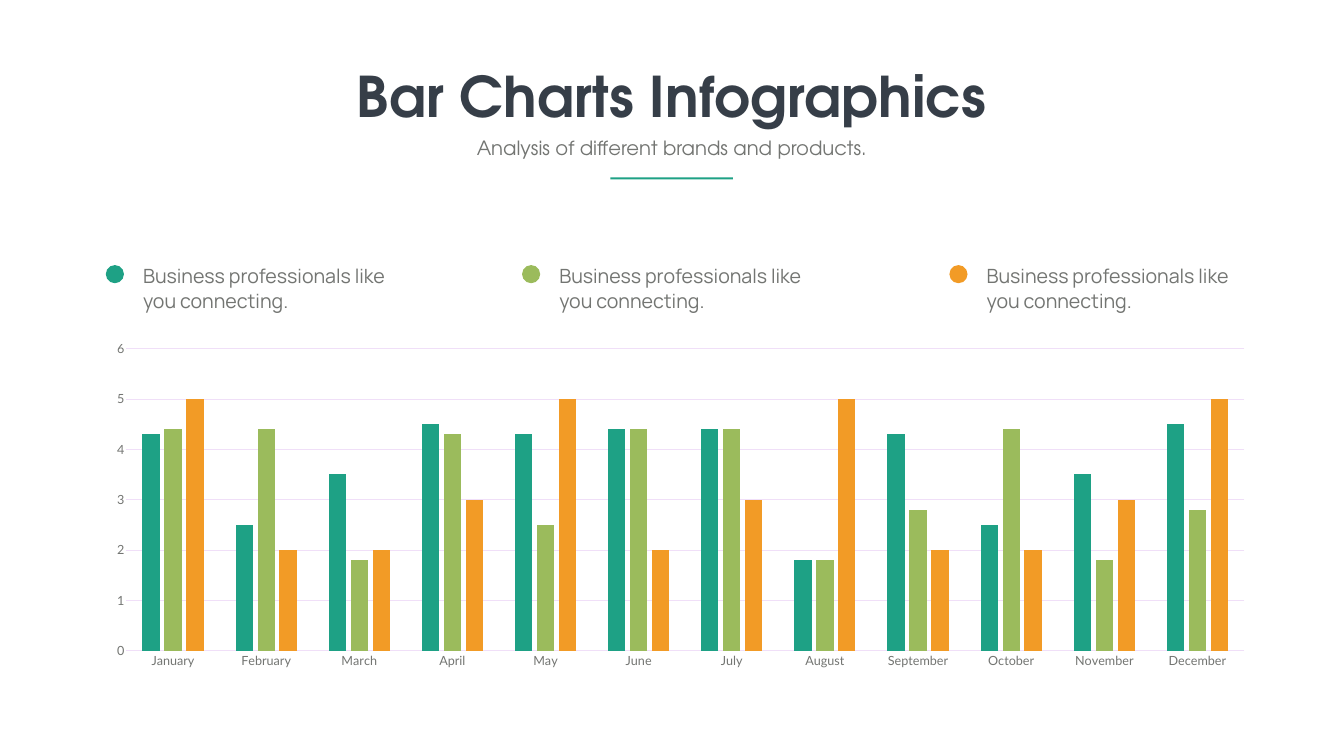
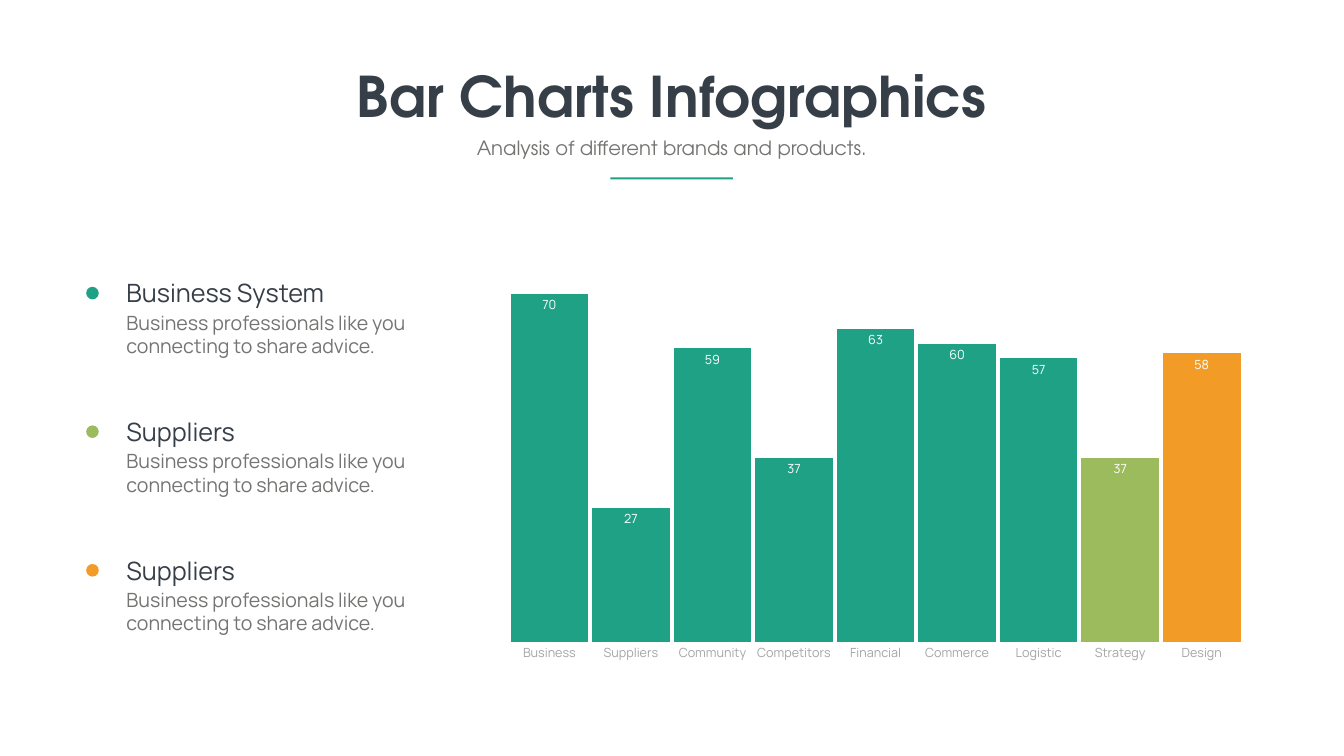
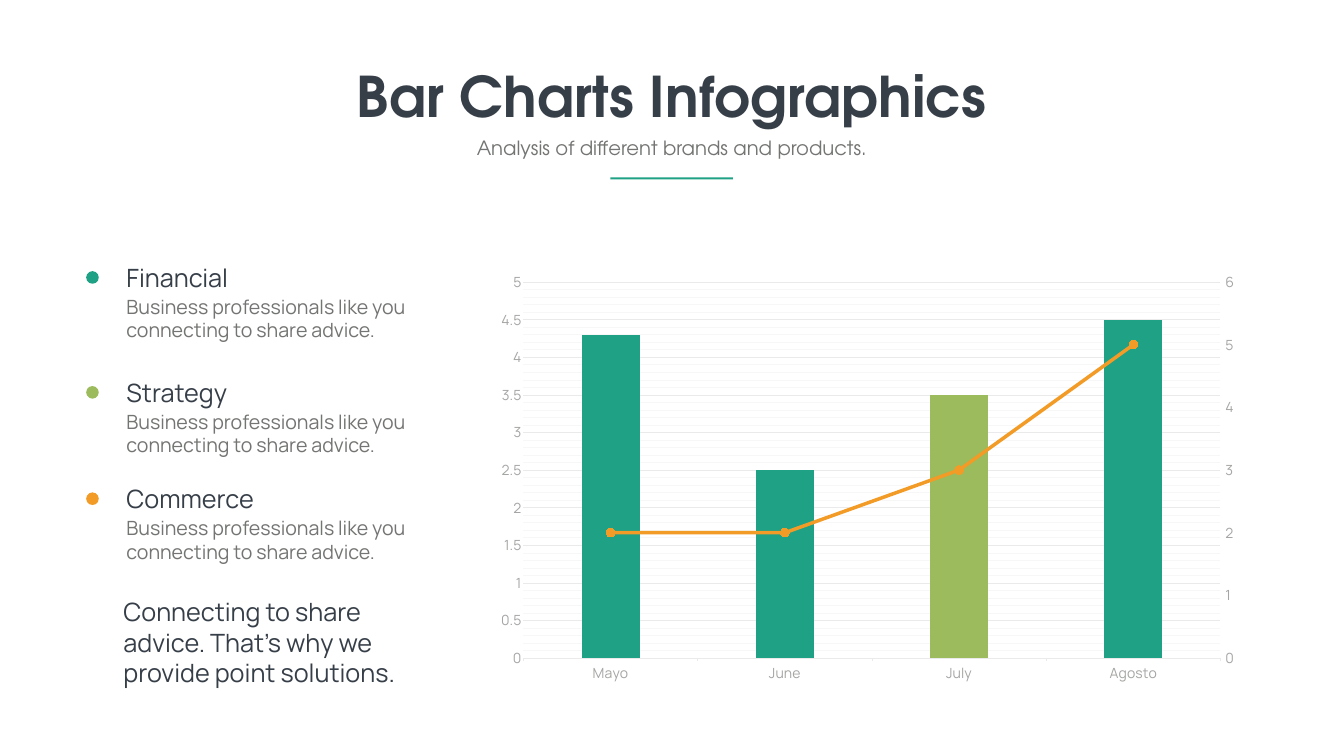
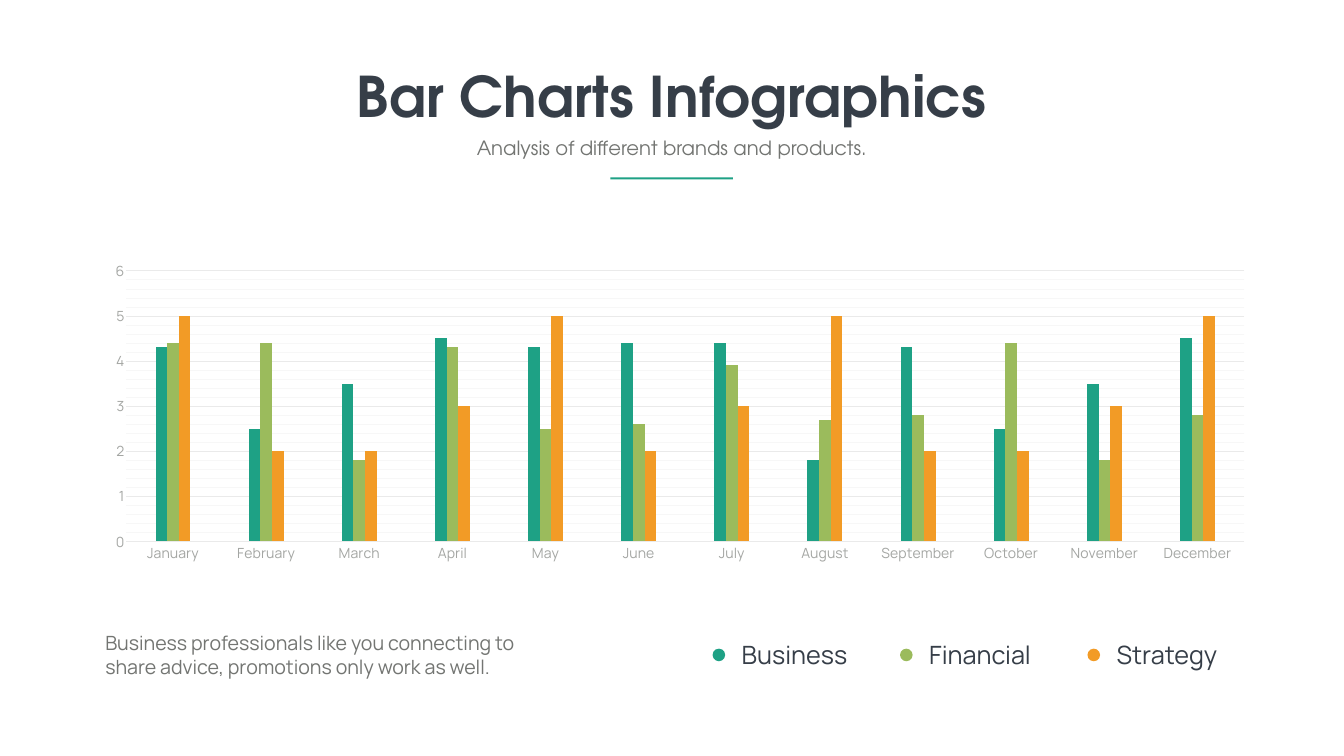
from copy import deepcopy

from pptx import Presentation
from pptx.chart.axis import ValueAxis
from pptx.chart.data import CategoryChartData
from pptx.dml.color import RGBColor
from pptx.enum.chart import XL_CHART_TYPE, XL_LABEL_POSITION, XL_MARKER_STYLE, XL_TICK_MARK
from pptx.enum.shapes import MSO_SHAPE
from pptx.enum.text import MSO_AUTO_SIZE, PP_ALIGN
from pptx.oxml import parse_xml
from pptx.oxml.ns import nsdecls, qn
from pptx.util import Inches, Pt

COLUMN = XL_CHART_TYPE.COLUMN_CLUSTERED
INSIDE = XL_LABEL_POSITION.INSIDE_END
CIRCLE = XL_MARKER_STYLE.CIRCLE
NONE, OUT = XL_TICK_MARK.NONE, XL_TICK_MARK.OUTSIDE
OVAL, RECT = MSO_SHAPE.OVAL, MSO_SHAPE.RECTANGLE
GROW = MSO_AUTO_SIZE.SHAPE_TO_FIT_TEXT
LEFT, CENTER = PP_ALIGN.LEFT, PP_ALIGN.CENTER

COLORS = {
    "teal": "1EA185", "green": "9BBB5C", "orange": "F29B26",
    "dark": "363E48", "gray": "737572", "pale": "A4A6A3",
    "grid": "EAEAEA", "faint": "F7F7F7", "lilac": "F0DFF8", "white": "FFFFFF",
}
HUES = ("teal", "green", "orange")
HEAD, BODY, LABEL = "TeX Gyre Adventor", "Manrope", "Lato"
MONTHS = ("January", "February", "March", "April", "May", "June", "July",
          "August", "September", "October", "November", "December")
FIRST = (4.3, 2.5, 3.5, 4.5, 4.3, 4.4, 4.4, 1.8, 4.3, 2.5, 3.5, 4.5)
THIRD = (5, 2, 2, 3, 5, 2, 3, 5, 2, 2, 3, 5)
ADVICE = "Business professionals like you connecting to share advice."
WIDE = (0.048, 0.169, 0.926, 0.731)


def tint(name):
    """Return the named colour."""
    return RGBColor.from_string(COLORS[name])


def style(font, size, color, face=BODY):
    """Set the size, colour and typeface of a font."""
    font.size, font.name = Pt(size), face
    font.color.rgb = tint(color)


def write(slide, box, text, size=28, color="gray", face=BODY,
          align=LEFT, bold=False, wrap=True, pitch=None):
    """Add a text box holding one paragraph."""
    frame = slide.shapes.add_textbox(*map(Inches, box)).text_frame
    frame.text = text
    frame.word_wrap, frame.auto_size = wrap, GROW
    para = frame.paragraphs[0]
    para.alignment = align
    if pitch:
        para.line_spacing = Pt(pitch)
    font = para.runs[0].font
    style(font, size, color, face)
    font.bold = bold


def block(slide, kind, box, color):
    """Add a plain filled shape."""
    shape = slide.shapes.add_shape(kind, *map(Inches, box))
    shape.shadow.inherit = False
    shape.fill.solid()
    shape.fill.fore_color.rgb = tint(color)
    shape.line.fill.background()


def heading(slide, left=6.92, top=1.17, width=12.82):
    """Draw the title, subtitle and rule centred in a band."""
    write(slide, (left, top, width, 1.45), "Bar Charts Infographics", 80, "dark",
          HEAD, CENTER, bold=True, wrap=False)
    write(slide, (left + (width - 9.56) / 2, top + 1.48, 9.56, 0.57),
          "Analysis of different brands and products.", 28, "gray", HEAD, CENTER)
    block(slide, RECT, (left + (width - 2.43) / 2, top + 2.35, 2.43, 0.04), "teal")


def key(slide, left, top, hue):
    """Draw a large dot with a short note beside it."""
    block(slide, OVAL, (left, top, 0.36, 0.36), hue)
    write(slide, (left + 0.64, top - 0.1, 5.39, 1.1),
          "Business professionals like you connecting.", pitch=35.6)


def label(slide, left, top, hue, text, gap, width):
    """Draw a small dot with a caption beside it."""
    block(slide, OVAL, (left, top, 0.25, 0.25), hue)
    write(slide, (left + gap, top - 0.23, width, 0.71), text, 36, "dark")


def item(slide, left, top, hue, text):
    """Draw a captioned dot with advice underneath."""
    write(slide, (left + 0.7, top + 0.42, 6.38, 1.04), ADVICE)
    label(slide, left, top, hue, text, 0.7, 4.89)


def place(chart, area):
    """Fix the inner plot area as fractions of the chart."""
    plot = chart._chartSpace.chart.plotArea
    for old in plot.findall(qn("c:layout")):
        plot.remove(old)
    parts = "".join(f'<c:{tag} val="{val}"/>' for tag, val in zip("xywh", area))
    plot.insert(0, parse_xml(
        f'<c:layout {nsdecls("c")}><c:manualLayout><c:layoutTarget val="inner"/>'
        '<c:xMode val="edge"/><c:yMode val="edge"/>'
        f'{parts}</c:manualLayout></c:layout>'))


def rule(axis, color, minor):
    """Colour the major gridlines and add fainter minor ones if asked."""
    axis.has_major_gridlines = True
    line = axis.major_gridlines.format.line
    line.width, line.color.rgb = Pt(0.75), tint(color)
    if minor:
        axis.has_minor_gridlines = True
        node = axis._element
        look = deepcopy(node.find(qn("c:majorGridlines"))[0])
        look.find(".//" + qn("a:srgbClr")).set("val", COLORS["faint"])
        node.find(qn("c:minorGridlines")).append(look)
        node.append(parse_xml(f'<c:minorUnit {nsdecls("c")} val="{minor}"/>'))


def columns(slide, box, cats, rows, area, gap, top, step, overlap=0, size=20,
            face=BODY, color="pale", grid="grid", minor=None, base=True):
    """Add a column chart with its series and axes styled."""
    data = CategoryChartData()
    data.categories = cats
    for num, row in enumerate(rows, 1):
        data.add_series(f"Series {num}", row)
    chart = slide.shapes.add_chart(COLUMN, *map(Inches, box), data).chart
    chart.has_legend = chart.has_title = False
    style(chart.font, size, "gray", face)
    place(chart, area)
    plot = chart.plots[0]
    plot.gap_width, plot.overlap, plot.vary_by_categories = gap, overlap, False
    for series, hue in zip(plot.series, HUES):
        series.format.fill.solid()
        series.format.fill.fore_color.rgb = tint(hue)
    value = chart.value_axis
    value.minimum_scale, value.maximum_scale, value.major_unit = 0, top, step
    for axis in (chart.category_axis, value):
        axis.major_tick_mark = NONE
        style(axis.tick_labels.font, size, color, face)
        axis.format.line.fill.background()
    if base:
        line = chart.category_axis.format.line
        line.width, line.color.rgb = Pt(0.75), tint("grid")
    rule(value, grid, minor)
    return chart


def paint(series, marks):
    """Recolour single columns of a series."""
    for num, hue in marks.items():
        fill = series.points[num].format.fill
        fill.solid()
        fill.fore_color.rgb = tint(hue)


def trend(chart, top, step):
    """Turn the last series into a line on a right-hand axis."""
    plot = chart._chartSpace.chart.plotArea
    cat, val = chart.category_axis._element, chart.value_axis._element
    run = plot.findall(".//" + qn("c:ser"))[-1]
    for flag in run.findall(qn("c:invertIfNegative")) + run.findall(qn("c:spPr")):
        run.remove(flag)
    line = parse_xml(
        f'<c:lineChart {nsdecls("c")}><c:grouping val="standard"/>'
        '<c:varyColors val="0"/><c:marker val="1"/>'
        '<c:axId val="50"/><c:axId val="51"/></c:lineChart>')
    line.insert(2, run)
    cat.addprevious(line)
    under, right = deepcopy(cat), deepcopy(val)
    val.addnext(under)
    under.addnext(right)
    for node, own, other in ((under, "50", "51"), (right, "51", "50")):
        node.find(qn("c:axId")).set("val", own)
        node.find(qn("c:crossAx")).set("val", other)
    under.find(qn("c:delete")).set("val", "1")
    right.find(qn("c:axPos")).set("val", "r")
    right.find(qn("c:crosses")).set("val", "max")
    axis = ValueAxis(right)
    axis.has_major_gridlines = axis.has_minor_gridlines = False
    axis.maximum_scale, axis.major_unit, axis.major_tick_mark = top, step, OUT
    for unit in right.findall(qn("c:minorUnit")):
        right.remove(unit)
    series = chart.plots[1].series[0]
    series.smooth = False
    series.format.line.width = Pt(5)
    series.format.line.color.rgb = tint("orange")
    mark = series.marker
    mark.style, mark.size = CIRCLE, 12
    mark.format.fill.solid()
    mark.format.fill.fore_color.rgb = tint("orange")
    mark.format.line.color.rgb = tint("orange")


def yearly(slide):
    """Fill the slide with spaced monthly columns and a key above."""
    second = (4.4, 4.4, 1.8, 4.3, 2.5, 4.4, 4.4, 1.8, 2.8, 4.4, 1.8, 2.8)
    columns(slide, (1.36, 5.53, 23.95, 8.2), MONTHS, (FIRST, second, THIRD), WIDE,
            185, 6, 1, -27, 18, LABEL, "gray", "lilac", base=False)
    for left, hue in zip((2.1, 10.36, 18.84), HUES):
        key(slide, left, 5.26, hue)


def sectors(slide):
    """Fill the slide with labelled columns and a list at the left."""
    cats = ("Business", "Suppliers", "Community", "Competitors", "Financial",
            "Commerce", "Logistic", "Strategy", "Design")
    chart = columns(slide, (9.79, 4.67, 15.17, 8.63), cats,
                    ((70, 27, 59, 37, 63, 60, 57, 37, 58),),
                    (0.02, 0.02, 0.96, 0.915), 5, 80, 10, size=18, base=False)
    chart.value_axis.has_major_gridlines = False
    chart.value_axis.visible = False
    series = chart.plots[0].series[0]
    paint(series, {7: "green", 8: "orange"})
    tags = series.data_labels
    tags.show_value, tags.position = True, INSIDE
    style(tags.font, 18, "white")
    for num, text in enumerate(("Business System", "Suppliers", "Suppliers")):
        item(slide, 1.71, 5.69 + 2.75 * num, HUES[num], text)


def mixed(slide):
    """Fill the slide with columns, a trend line and a list at the left."""
    rows = ((4.3, 2.5, 3.5, 4.5), (None,) * 4, (2, 2, 3, 5))
    chart = columns(slide, (9.63, 5.24, 15.15, 8.47),
                    ("Mayo", "June", "July", "Agosto"), rows,
                    (0.05, 0.042, 0.913, 0.881), 200, 5, 0.5, 100, minor=0.1)
    chart.category_axis.major_tick_mark = OUT
    paint(chart.plots[0].series[0], {2: "green"})
    trend(chart, 6, 1)
    write(slide, (2.35, 11.79, 6.36, 1.92),
          "Connecting to share advice. That’s why we provide point solutions.",
          36, "dark")
    names = ("Financial", "Strategy", "Commerce")
    for top, hue, text in zip((5.38, 7.66, 9.77), HUES, names):
        item(slide, 1.71, top, hue, text)


def compact(slide):
    """Fill the slide with narrow monthly columns and a key below."""
    second = (4.4, 4.4, 1.8, 4.3, 2.5, 2.6, 3.9, 2.7, 2.8, 4.4, 1.8, 2.8)
    columns(slide, (1.36, 4.13, 23.95, 7.35), MONTHS, (FIRST, second, THIRD), WIDE,
            500, 6, 1, minor=0.2)
    write(slide, (1.99, 12.47, 8.89, 1.04),
          "Business professionals like you connecting to share advice, "
          "promotions only work as well.")
    for num, text in enumerate(("Business", "Financial", "Strategy")):
        label(slide, 14.14 + 3.72 * num, 12.87, HUES[num], text, 0.48, 3.24)


def main():
    """Build and save the deck."""
    deck = Presentation()
    deck.slide_width, deck.slide_height = Inches(26.67), Inches(15)
    for fill in (yearly, sectors, mixed, compact):
        slide = deck.slides.add_slide(deck.slide_layouts[6])
        fill(slide)
        heading(slide)
    deck.save("out.pptx")


if __name__ == "__main__":
    main()
